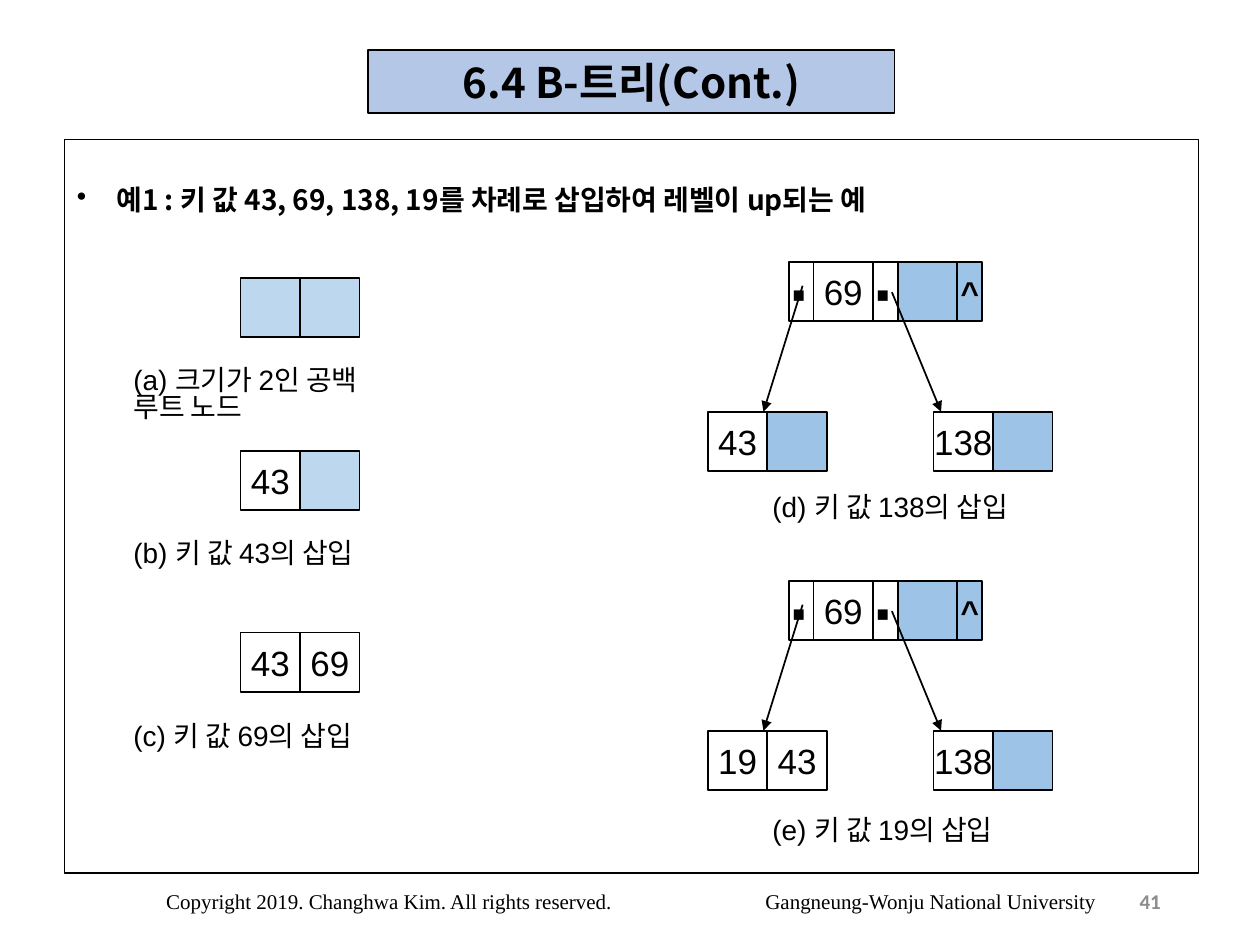
from lxml import etree
from pptx import Presentation
from pptx.dml.color import RGBColor
from pptx.enum.shapes import MSO_CONNECTOR, MSO_SHAPE
from pptx.enum.text import MSO_ANCHOR, PP_ALIGN
from pptx.oxml.ns import qn
from pptx.util import Cm, Pt

BLACK, GRAY = "000000", "8C8C8C"
PALE, BLUE, TITLE = "BDD7EE", "9DC3E6", "B4C7E7"
SANS, HANGUL = "Arial", "Noto Sans CJK KR"
CELL, SLIM = 1.2, 0.5  # widths of key and pointer cells


def color(code):
    return RGBColor.from_string(code)


def write(shape, text, size=16, font=SANS, ink=BLACK, bold=False,
          align=PP_ALIGN.LEFT, anchor=MSO_ANCHOR.TOP, wrap=False,
          space=None, inset=(0.25, 0.13), bullet=None, tab=None):
    """Fill a shape with one formatted paragraph."""
    frame = shape.text_frame
    frame.word_wrap = wrap
    frame.vertical_anchor = anchor
    frame.margin_left = frame.margin_right = Cm(inset[0])
    frame.margin_top = frame.margin_bottom = Cm(inset[1])
    para = frame.paragraphs[0]
    para.alignment = align
    if space:
        para.line_spacing = space
    props = para._p.get_or_add_pPr()
    if bullet:
        props.set("marL", str(Cm(0.95 * 1)))
        props.set("indent", str(-Cm(0.8)))
        props.set("marL", str(Cm(0.8)))
        etree.SubElement(props, qn("a:buChar")).set("char", bullet)
    if tab:
        stops = etree.SubElement(props, qn("a:tabLst"))
        stop = etree.SubElement(stops, qn("a:tab"))
        stop.set("pos", str(Cm(tab)))
        stop.set("algn", "l")
    run = para.add_run()
    run.text = text
    run.font.size = Pt(size)
    run.font.bold = bold
    run.font.name = font
    run.font.color.rgb = color(ink)
    if font == HANGUL:
        east = etree.SubElement(run._r.get_or_add_rPr(), qn("a:ea"))
        east.set("typeface", font)


class Deck:
    def __init__(self):
        self.file = Presentation()
        self.file.slide_width, self.file.slide_height = Cm(25.4), Cm(19.05)
        self.slide = self.file.slides.add_slide(self.file.slide_layouts[6])
        self.shapes = self.slide.shapes

    def box(self, x, y, w, h, fill=None, line=1.0):
        shape = self.shapes.add_shape(
            MSO_SHAPE.RECTANGLE, Cm(x), Cm(y), Cm(w), Cm(h))
        shape.shadow.inherit = False
        if fill:
            shape.fill.solid()
            shape.fill.fore_color.rgb = color(fill)
        else:
            shape.fill.background()
        shape.line.color.rgb = color(BLACK)
        shape.line.width = Pt(line)
        return shape

    def label(self, x, y, w, h, text, **style):
        write(self.shapes.add_textbox(Cm(x), Cm(y), Cm(w), Cm(h)),
              text, **style)

    def arrow(self, x1, y1, x2, y2):
        link = self.shapes.add_connector(
            MSO_CONNECTOR.STRAIGHT, Cm(x1), Cm(y1), Cm(x2), Cm(y2))
        link.line.color.rgb = color(BLACK)
        link.line.width = Pt(1)
        tail = etree.SubElement(link.line._get_or_add_ln(), qn("a:tailEnd"))
        tail.set("type", "triangle")
        etree.SubElement(link._element.spPr, qn("a:effectLst"))

    def node(self, x, y, cells):
        """Draw a row of cells, each (text, fill, width, size, bold)."""
        for text, fill, width, size, bold in cells:
            cell = self.box(x, y, width, CELL, fill)
            if text:
                write(cell, text, size=size, bold=bold, inset=(0, 0),
                      align=PP_ALIGN.CENTER, anchor=MSO_ANCHOR.MIDDLE)
            x += width

    def leaf(self, x, y, keys, blank):
        self.node(x, y, [(key, None if key else blank, CELL, 20, False)
                         for key in keys])

    def tree(self, y, root, left, right):
        """Draw a root with two children as one group."""
        self.shapes = self.slide.shapes.add_group_shape().shapes
        dot = ("·", None, SLIM, 40, True)
        self.node(15.9, y, [dot, (root, None, CELL, 20, False), dot,
                            ("", BLUE, CELL, 20, False),
                            ("^", BLUE, SLIM, 18, True)])
        low = y + 3.02
        self.leaf(14.27, low, left, BLUE)
        self.leaf(18.82, low, right, BLUE)
        self.arrow(16.18, y + 0.48, 15.39, low)
        self.arrow(17.98, y + 0.61, 18.97, low)
        self.shapes = self.slide.shapes


def main():
    deck = Deck()

    # Title and body frame
    write(deck.box(7.42, 1.01, 10.62, 1.27, TITLE, 0.75), "6.4 B-트리(Cont.)",
          size=24, font=HANGUL, bold=True, align=PP_ALIGN.CENTER,
          anchor=MSO_ANCHOR.MIDDLE)
    write(deck.box(1.3, 2.82, 22.86, 14.78, line=0.75),
          "예1 : 키 값 43, 69, 138, 19를 차례로 삽입하여 레벨이 up되는 예",
          font=HANGUL, bold=True, wrap=True, inset=(0.25, 0.87), bullet="•")

    # Single nodes on the left
    for y, keys in ((5.6, ("", "")), (9.09, ("43", "")), (12.75, ("43", "69"))):
        deck.leaf(4.85, y, keys, PALE)

    # Trees on the right
    deck.tree(5.28, "69", ("43", ""), ("138", ""))
    deck.tree(11.71, "69", ("19", "43"), ("138", ""))

    # Captions
    for x, y, text in ((2.44, 7.32, "(a) 크기가 2인 공백 루트 노드"),
                       (2.44, 10.8, "(b) 키 값 43의 삽입"),
                       (2.44, 14.48, "(c) 키 값 69의 삽입"),
                       (15.32, 9.88, "(d) 키 값 138의 삽입"),
                       (15.32, 16.38, "(e) 키 값 19의 삽입")):
        deck.label(x, y, 5.8, 0.81, text, space=0.8)

    # Footer
    deck.label(3.05, 17.65, 19.38, 1.02,
               "Copyright 2019. Changhwa Kim. All rights reserved."
               "\tGangneung-Wonju National University",
               size=12, font="Times New Roman", wrap=True, tab=12.08,
               anchor=MSO_ANCHOR.MIDDLE, inset=(0.3, 0.13))
    deck.label(17.93, 17.65, 5.72, 1.02, "41", size=12, font="Calibri",
               ink=GRAY, bold=True, wrap=True, align=PP_ALIGN.RIGHT,
               anchor=MSO_ANCHOR.MIDDLE)

    deck.file.save("out.pptx")


if __name__ == "__main__":
    main()
